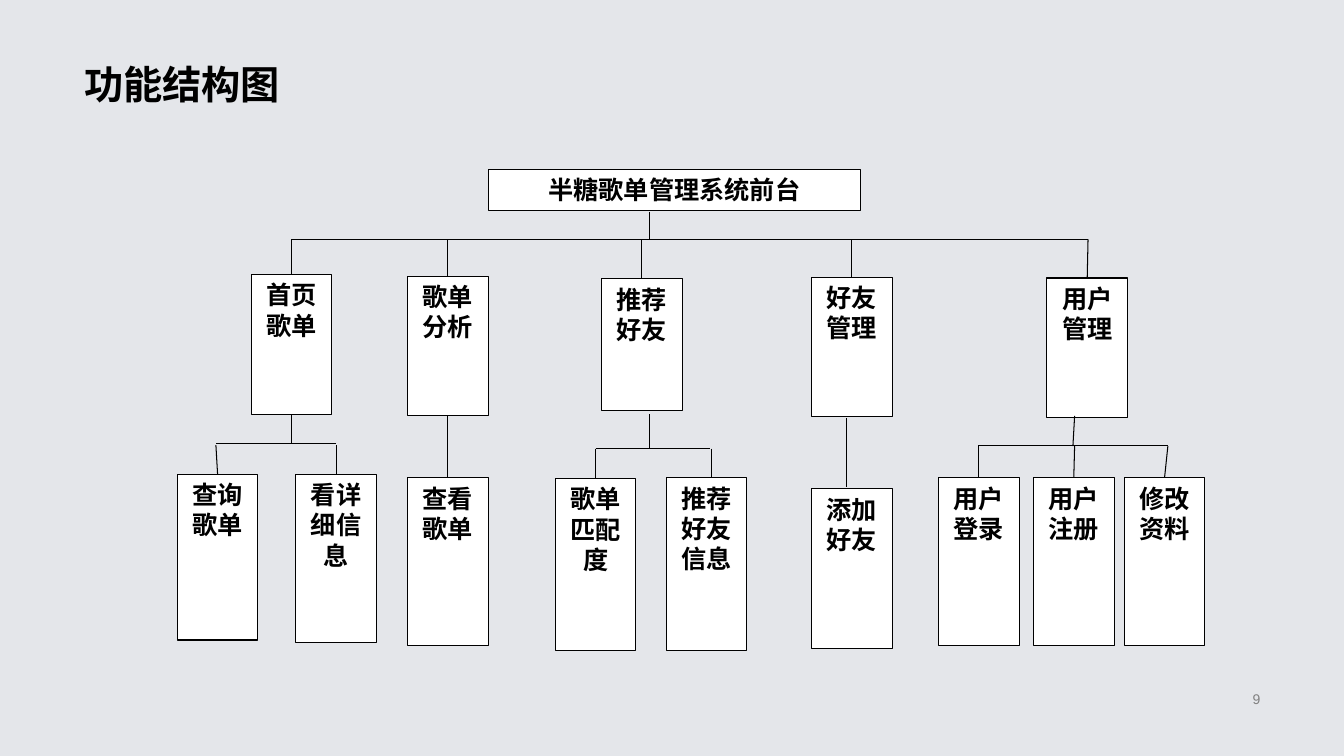
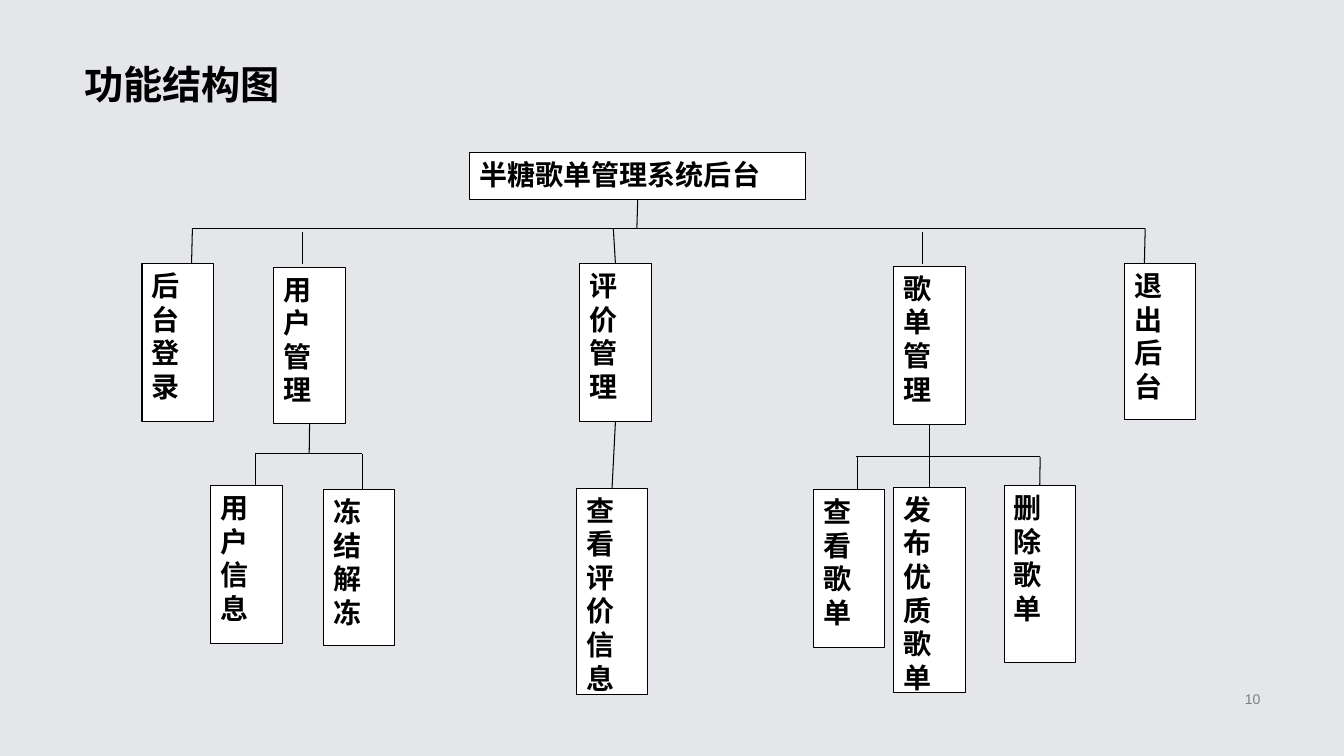
import pptx
import pptx.util
import pptx.dml.color
import pptx.enum.shapes
import pptx.enum.text
import pptx.oxml.ns
from lxml import etree

Pt = pptx.util.Pt
ALIGN = pptx.enum.text.PP_ALIGN
ANCHOR = pptx.enum.text.MSO_ANCHOR
COLORS = {"back": "E4E6EA", "box": "FFFFFF", "ink": "000000", "page": "808080"}
CJK = "Noto Sans CJK JP"

prs = pptx.Presentation()
prs.slide_width, prs.slide_height = pptx.util.Inches(13.33), pptx.util.Inches(7.5)
CELL = prs.slide_height / 90  # square grid: 160 columns by 90 rows


def grid(*cells):
    return [round(c * CELL) for c in cells]


def write(sp, text, size, font, color, align, bold=True):
    p = sp.text_frame.paragraphs[0]
    p.text = text
    p.alignment = align
    r = p.runs[0]
    r.font.size, r.font.bold, r.font.name = Pt(size), bold, font
    r.font.color.rgb = pptx.dml.color.RGBColor.from_string(COLORS[color])
    ea = etree.SubElement(r._r.get_or_add_rPr(), pptx.oxml.ns.qn("a:ea"))
    ea.set("typeface", CJK)


# Shared background and title place
fill = prs.slide_master.background.fill
fill.solid()
fill.fore_color.rgb = pptx.dml.color.RGBColor.from_string(COLORS["back"])
layout = prs.slide_layouts[5]
title = layout.placeholders[0]
title.left, title.top, title.width, title.height = grid(8.8, 0, 142.4, 13.4)
title.text_frame.vertical_anchor = ANCHOR.BOTTOM

# Boxes: text, left, top, height, width if it differs from the slide's usual one
# Lines: x1, y1, x2, y2, line width if not 0.75
charts = [
    {
        "page": "9", "size": 18, "align": ALIGN.CENTER, "width": 9.6,
        "boxes": [
            ("半糖歌单管理系统前台", 58.1, 20.2, 4.9, 44.3),
            ("首页歌单", 29.9, 32.7, 16.6),
            ("歌单分析", 48.5, 32.9, 16.6),
            ("推荐好友", 71.6, 33.2, 15.7),
            ("好友管理", 96.6, 33, 16.6),
            ("用户管理", 124.6, 33.1, 16.6),
            ("查询歌单", 21.1, 56.5, 19.7),
            ("看详细信息", 35.2, 56.5, 20),
            ("查看歌单", 48.5, 56.9, 20),
            ("歌单匹配度", 66.1, 57, 20.5),
            ("推荐好友信息", 79.3, 56.9, 20.5),
            ("添加好友", 96.6, 58.2, 19),
            ("用户登录", 111.7, 56.9, 20),
            ("用户注册", 123, 56.9, 20),
            ("修改资料", 133.8, 56.9, 20),
        ],
        "lines": [
            # Root to modules
            (77.3, 25.2, 77.3, 28.5), (34.7, 28.5, 129.5, 28.5),
            (34.7, 28.5, 34.7, 32.7), (53.3, 28.5, 53.3, 32.9),
            (76.4, 28.5, 76.4, 33.2), (101.4, 28.5, 101.4, 33),
            (129.5, 28.5, 129.4, 33.1),
            # Modules to functions
            (34.7, 49.3, 34.7, 52.8), (25.7, 52.8, 40, 52.8),
            (25.7, 53, 25.9, 56.5), (40, 53, 40, 56.5),
            (53.5, 49.5, 53.3, 56.9),
            (77.3, 49.3, 77.3, 53.4), (70.9, 53.4, 84.5, 53.4),
            (70.9, 53.4, 70.9, 57), (84.7, 53.4, 84.7, 56.9),
            (100.7, 49.8, 100.7, 58),
            (127.9, 49.5, 127.7, 53.1), (116.5, 53, 139, 53),
            (116.5, 53, 116.5, 56.9), (127.9, 53, 127.8, 56.9),
            (139, 53.1, 138.7, 56.9),
        ],
    },
    {
        "page": "10", "size": 20, "align": ALIGN.JUSTIFY, "width": 8.5,
        "boxes": [
            ("半糖歌单管理系统后台", 55.9, 18.2, 5.6, 40),
            ("后台登录", 16.9, 31.4, 18.8),
            ("用户管理", 32.6, 31.8, 18.6),
            ("评价管理", 69, 31.4, 18.8),
            ("歌单管理", 106.4, 31.7, 18.8),
            ("退出后台", 133.8, 31.4, 18.6),
            ("用户信息", 25.1, 57.8, 18.8),
            ("冻结解冻", 38.5, 58.3, 18.6),
            ("查看评价信息", 68.6, 58.1, 24.6),
            ("查看歌单", 96.8, 58.3, 18.8),
            ("发布优质歌单", 106.4, 58, 24.4),
            ("删除歌单", 119.5, 57.8, 21.1),
        ],
        "lines": [
            # Root to modules
            (75.8, 23.8, 75.8, 27.2), (22.9, 27.2, 136.3, 27.2),
            (22.9, 27.2, 22.8, 31.3), (36, 27.6, 36, 31.4),
            (73, 27.2, 73, 31.4), (109.8, 27.6, 109.8, 31.4),
            (136.3, 27.2, 136.2, 31.4),
            # Modules to functions
            (36.8, 50.4, 36.8, 54), (30.4, 54, 43.1, 54),
            (30.4, 54, 30.4, 57.8), (43.1, 54, 43.1, 58.3),
            (73, 50.2, 73, 58.1),
            (110.7, 50.5, 110.7, 58, 0.5), (101.9, 54.4, 123.8, 54.4),
            (102, 54.4, 102, 58.2), (123.8, 54.4, 123.8, 57.8),
        ],
    },
]

for chart in charts:
    s = prs.slides.add_slide(layout)

    # Title and page number
    write(s.shapes.title, "功能结构图", 28, CJK, "ink", ALIGN.LEFT)
    s.shapes.title.text_frame.paragraphs[0].line_spacing = 0.9
    number = s.shapes.add_textbox(*grid(113, 81.8, 38.2, 2.8))
    number.text_frame.word_wrap = True
    number.text_frame.vertical_anchor = ANCHOR.MIDDLE
    write(number, chart["page"], 10, "Arial", "page", ALIGN.RIGHT, bold=False)

    # Boxes, keeping the middle of each top (0) and bottom (2) side
    joints = []
    for text, left, top, height, *own in chart["boxes"]:
        width = own[0] if own else chart["width"]
        sp = s.shapes.add_shape(pptx.enum.shapes.MSO_SHAPE.RECTANGLE,
                                *grid(left, top, width, height))
        sp.shadow.inherit = False
        sp.fill.solid()
        sp.fill.fore_color.rgb = pptx.dml.color.RGBColor.from_string(COLORS["box"])
        sp.line.color.rgb = pptx.dml.color.RGBColor.from_string(COLORS["ink"])
        sp.line.width = Pt(0.75)
        sp.text_frame.word_wrap = True
        sp.text_frame.vertical_anchor = ANCHOR.TOP
        write(sp, text, chart["size"], "Calibri", "ink", chart["align"])
        middle = left + width / 2
        joints += [(middle, top, sp, 0), (middle, top + height, sp, 2)]

    # Lines, joined to a box where they end at the middle of its side
    for x1, y1, x2, y2, *own in chart["lines"]:
        line = s.shapes.add_connector(pptx.enum.shapes.MSO_CONNECTOR.STRAIGHT,
                                      *grid(x1, y1, x2, y2))
        line.line.color.rgb = pptx.dml.color.RGBColor.from_string(COLORS["ink"])
        line.line.width = Pt(own[0] if own else 0.75)
        etree.SubElement(line._element.spPr, pptx.oxml.ns.qn("a:effectLst"))
        for x, y, connect in ((x1, y1, line.begin_connect), (x2, y2, line.end_connect)):
            for jx, jy, sp, side in joints:
                if abs(x - jx) < 0.3 and abs(y - jy) < 0.3:
                    connect(sp, side)

prs.save("out.pptx")
